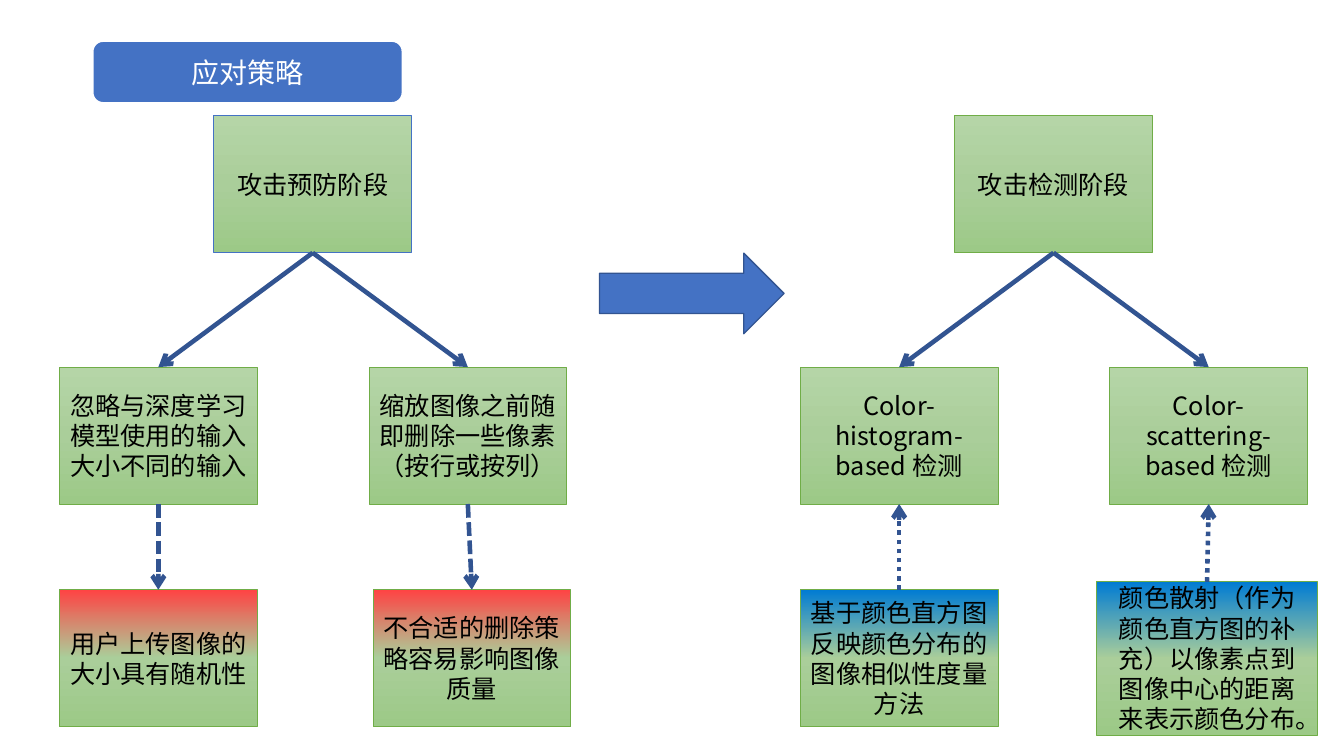
import copy

import pptx
import pptx.dml.color
import pptx.enum.dml
import pptx.enum.shapes
import pptx.enum.text
import pptx.oxml
import pptx.oxml.ns
import pptx.util

Cm = pptx.util.Cm
Pt = pptx.util.Pt
MSO_SHAPE = pptx.enum.shapes.MSO_SHAPE
DASH = pptx.enum.dml.MSO_LINE
FONT = "Noto Sans CJK SC"
BOX_W, BOX_H = 4.98, 3.45
ROOT_Y, METHOD_Y, NOTE_Y = 2.92, 9.25, 14.86
GREEN, RED, BLUE = "B5D5A7", "FE4444", "007BD3"


def rgb(value):
    return pptx.dml.color.RGBColor.from_string(value)


def write(tf, text, size, color):
    tf.word_wrap = True
    tf.vertical_anchor = pptx.enum.text.MSO_ANCHOR.MIDDLE
    p = tf.paragraphs[0]
    p.alignment = pptx.enum.text.PP_ALIGN.CENTER
    r = p.add_run()
    r.text = text
    r.font.size = Pt(size)
    r.font.name = FONT
    r.font.color.rgb = rgb(color)
    ea = pptx.oxml.parse_xml(f'<a:ea {pptx.oxml.ns.nsdecls("a")} typeface="{FONT}"/>')
    r.font._element.find(pptx.oxml.ns.qn("a:latin")).addnext(ea)


prs = pptx.Presentation()
prs.slide_width = Cm(33.87)
prs.slide_height = Cm(19.05)
s = prs.slides.add_slide(prs.slide_layouts[5])

banner = s.shapes.add_shape(MSO_SHAPE.ROUNDED_RECTANGLE, Cm(2.34), Cm(1.04), Cm(7.8), Cm(1.55))
arrow = s.shapes.add_shape(MSO_SHAPE.RIGHT_ARROW, Cm(15.11), Cm(6.38), Cm(4.65), Cm(2.03))
for sp, line in ((banner, "FFFFFF"), (arrow, "325491")):
    sp.shadow.inherit = False
    sp.fill.solid()
    sp.fill.fore_color.rgb = rgb("4472C4")
    sp.line.color.rgb = rgb(line)
    sp.line.width = Pt(1)

title = s.shapes.title
title.left, title.top, title.width, title.height = Cm(2.41), Cm(1.12), Cm(7.65), Cm(1.4)
title.text_frame.auto_size = pptx.enum.text.MSO_AUTO_SIZE.NONE
write(title.text_frame, "应对策略", 20, "FFFFFF")
banner._element.addnext(title._element)

boxes = {}
for name, x, y, w, h, top_color, line, text in (
    ("prevent", 5.39, ROOT_Y, BOX_W, BOX_H, GREEN, "4472C4", "攻击预防阶段"),
    ("ignore", 1.5, METHOD_Y, BOX_W, BOX_H, GREEN, "70AD47", "忽略与深度学习模型使用的输入大小不同的输入"),
    ("delete", 9.3, METHOD_Y, BOX_W, BOX_H, GREEN, "70AD47", "缩放图像之前随即删除一些像素（按行或按列）"),
    ("random", 1.5, NOTE_Y, BOX_W, BOX_H, RED, "70AD47", "用户上传图像的大小具有随机性"),
    ("quality", 9.4, NOTE_Y, BOX_W, BOX_H, RED, "70AD47", "不合适的删除策略容易影响图像质量"),
    ("detect", 24.06, ROOT_Y, BOX_W, BOX_H, GREEN, "70AD47", "攻击检测阶段"),
    ("histogram", 20.17, METHOD_Y, BOX_W, BOX_H, GREEN, "70AD47", "Color-histogram-based 检测"),
    ("scattering", 27.97, METHOD_Y, BOX_W, BOX_H, GREEN, "70AD47", "Color-scattering-based 检测"),
    ("similarity", 20.17, NOTE_Y, BOX_W, BOX_H, BLUE, "70AD47", "基于颜色直方图反映颜色分布的图像相似性度量方法"),
    ("distance", 27.64, 14.66, 5.56, 3.86, BLUE, "70AD47",
     "颜色散射（作为颜色直方图的补充）以像素点到图像中心的距离来表示颜色分布。"),
):
    sp = s.shapes.add_shape(MSO_SHAPE.RECTANGLE, Cm(x), Cm(y), Cm(w), Cm(h))
    sp.shadow.inherit = False
    sp.fill.gradient()
    sp.fill.gradient_angle = 270
    first = sp.fill.gradient_stops[0]._gs
    first.addnext(copy.deepcopy(first))
    for stop, position, color in zip(sp.fill.gradient_stops, (0, 0.5, 1), (top_color, "AACE9A", "9CC987")):
        stop.position = position
        stop.color.rgb = rgb(color)
    sp.line.color.rgb = rgb(line)
    sp.line.width = Pt(0.5)
    write(sp.text_frame, text, 18, "000000")
    boxes[name] = sp

for start, start_side, end, end_side, dash in (
    ("prevent", 2, "ignore", 0, None),
    ("prevent", 2, "delete", 0, None),
    ("detect", 2, "histogram", 0, None),
    ("detect", 2, "scattering", 0, None),
    ("ignore", 2, "random", 0, DASH.SQUARE_DOT),
    ("delete", 2, "quality", 0, DASH.SQUARE_DOT),
    ("similarity", 0, "histogram", 2, DASH.ROUND_DOT),
    ("distance", 0, "scattering", 2, DASH.ROUND_DOT),
):
    link = s.shapes.add_connector(pptx.enum.shapes.MSO_CONNECTOR.STRAIGHT, 0, 0, 0, 0)
    link.begin_connect(boxes[start], start_side)
    link.end_connect(boxes[end], end_side)
    link.line.color.rgb = rgb("325491")
    link.line.width = Pt(3.25)
    if dash:
        link.line.dash_style = dash
        preset = link.line._ln.find(pptx.oxml.ns.qn("a:prstDash"))
        preset.set("val", "sysDash" if dash == DASH.SQUARE_DOT else "sysDot")
    ns = pptx.oxml.ns.nsdecls("a")
    link.line._ln.append(pptx.oxml.parse_xml(f'<a:tailEnd {ns} type="arrow"/>'))
    link._element.spPr.append(pptx.oxml.parse_xml(f"<a:effectLst {ns}/>"))

prs.save("out.pptx")
